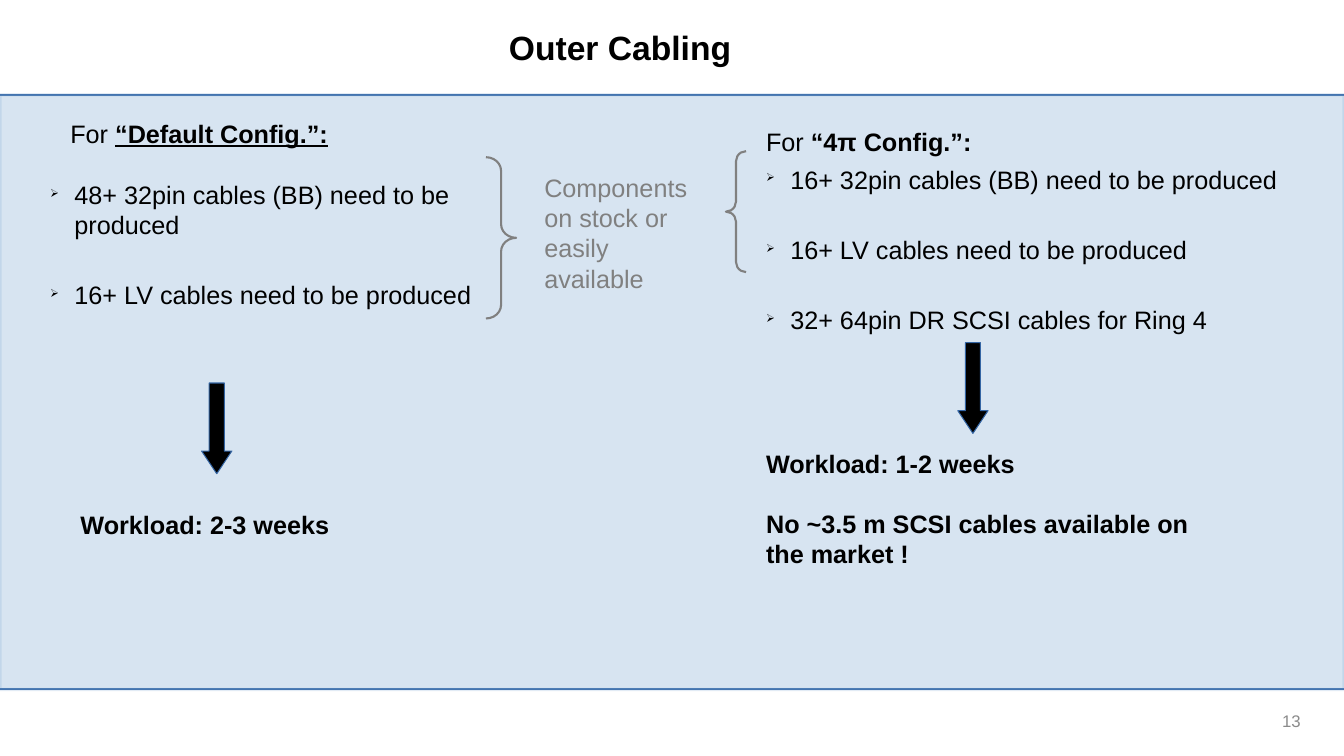
from dataclasses import dataclass

import pptx
import pptx.dml.color
import pptx.enum.shapes
import pptx.enum.text
import pptx.oxml
import pptx.oxml.ns
import pptx.util
from lxml import etree

Inches = pptx.util.Inches
Pt = pptx.util.Pt
ShapeKind = pptx.enum.shapes.MSO_SHAPE
Align = pptx.enum.text.PP_ALIGN
Anchor = pptx.enum.text.MSO_ANCHOR
AutoSize = pptx.enum.text.MSO_AUTO_SIZE
qn = pptx.oxml.ns.qn

FONT = "Arial"
COLORS = {
    "text": "000000",
    "rule": "3465A4",
    "panel": "729FCF",
    "note": "808080",
    "number": "8B8B8B",
}


@dataclass
class Box:
    left: float
    top: float
    width: float
    height: float

    def lengths(self) -> tuple:
        return tuple(Inches(n) for n in (self.left, self.top, self.width, self.height))


@dataclass
class Heading:
    box: Box
    name: str
    underline: bool


@dataclass
class TextBlock:
    box: Box
    paragraphs: list[str]
    color: str = "text"
    size: float = 18
    bold: bool = False
    bulleted: bool = False
    gap: float = 0
    align: Align = Align.LEFT
    anchor: Anchor = Anchor.TOP


@dataclass
class Brace:
    box: Box
    kind: ShapeKind
    curve: float


HEADINGS = [
    Heading(Box(0.6, 1.12, 5.3, 0.38), "“Default Config.”:", True),
    Heading(Box(7.5, 1.2, 5.3, 0.38), "“4π Config.”:", False),
]
TEXT_BLOCKS = [
    TextBlock(Box(0.4, 1.73, 4.7, 1.33),
              ["48+ 32pin cables (BB) need to be produced",
               "16+ LV cables need to be produced"], bulleted=True, gap=28.4),
    TextBlock(Box(7.5, 1.58, 5.8, 1.73),
              ["16+ 32pin cables (BB) need to be produced",
               "16+ LV cables need to be produced",
               "32+ 64pin DR SCSI cables for Ring 4"], bulleted=True, gap=28.4),
    TextBlock(Box(0.7, 5, 3.8, 0.38), ["Workload: 2-3 weeks"], bold=True),
    TextBlock(Box(7.5, 4.4, 4.6, 1.22),
              ["Workload: 1-2 weeks",
               "No ~3.5 m SCSI cables available on the market !"], bold=True, gap=21),
    TextBlock(Box(5.3, 1.66, 1.8, 1.22),
              ["Components on stock or easily available"], color="note"),
    TextBlock(Box(10, 6.95, 3, 0.4), ["13"], color="number", size=12,
              align=Align.RIGHT, anchor=Anchor.MIDDLE),
]
ARROWS = [Box(2, 3.8, 0.3, 0.9), Box(9.5, 3.4, 0.3, 0.9)]
BRACES = [
    Brace(Box(4.82, 1.56, 0.3, 1.6), ShapeKind.RIGHT_BRACE, 0.45),
    Brace(Box(7.2, 1.5, 0.2, 1.2), ShapeKind.LEFT_BRACE, 0.5),
]


def rgb(name: str) -> pptx.dml.color.RGBColor:
    return pptx.dml.color.RGBColor.from_string(COLORS[name])


def set_line(shape, color: str, width: float) -> None:
    shape.line.color.rgb = rgb(color)
    shape.line.width = Pt(width)


def set_opacity(properties, percent: int) -> None:
    color = properties.find(qn("a:solidFill")).find(qn("a:srgbClr"))
    etree.SubElement(color, qn("a:alpha"), val=str(percent * 1000))


def set_font(paragraph, size: float, color: str, bold: bool | None = None) -> None:
    font = paragraph.font
    font.name = FONT
    font.size = Pt(size)
    font.bold = bold
    font.color.rgb = rgb(color)


def add_bullet(paragraph) -> None:
    properties = paragraph._p.get_or_add_pPr()
    properties.set("marL", str(Inches(0.24)))
    properties.set("indent", str(-Inches(0.24)))
    bullet_color = etree.SubElement(properties, qn("a:buClr"))
    etree.SubElement(bullet_color, qn("a:srgbClr"), val=COLORS["text"])
    etree.SubElement(properties, qn("a:buSzPct"), val="45000")
    etree.SubElement(properties, qn("a:buChar"), char="➢")


def add_text_frame(slide, box: Box):
    frame = slide.shapes.add_textbox(*box.lengths()).text_frame
    frame.word_wrap = True
    return frame


def add_heading(slide, heading: Heading) -> None:
    frame = add_text_frame(slide, heading.box)
    frame.auto_size = AutoSize.SHAPE_TO_FIT_TEXT
    paragraph = frame.paragraphs[0]
    set_font(paragraph, 18, "text")
    paragraph.add_run().text = "For "
    name = paragraph.add_run()
    name.text = heading.name
    name.font.bold = True
    name.font.underline = heading.underline


def add_text_block(slide, block: TextBlock) -> None:
    frame = add_text_frame(slide, block.box)
    frame.vertical_anchor = block.anchor
    if block.anchor == Anchor.TOP:
        frame.auto_size = AutoSize.SHAPE_TO_FIT_TEXT
    for index, text in enumerate(block.paragraphs):
        paragraph = frame.add_paragraph() if index else frame.paragraphs[0]
        paragraph.text = text
        paragraph.alignment = block.align
        if index:
            paragraph.space_before = Pt(block.gap)
        if block.bulleted:
            add_bullet(paragraph)
        set_font(paragraph, block.size, block.color, block.bold)


def add_rule(slide, top: float) -> None:
    rule = slide.shapes.add_connector(
        pptx.enum.shapes.MSO_CONNECTOR.STRAIGHT,
        Inches(0), Inches(top), Inches(13.33), Inches(top))
    set_line(rule, "rule", 1.5)
    etree.SubElement(rule._element.spPr, qn("a:effectLst"))


def add_panel(slide) -> None:
    panel = slide.shapes.add_shape(
        ShapeKind.RECTANGLE, *Box(0, 0.94, 13.33, 5.9).lengths())
    panel.shadow.inherit = False
    panel.fill.solid()
    panel.fill.fore_color.rgb = rgb("panel")
    set_line(panel, "panel", 2.3)
    set_opacity(panel._element.spPr, 28)
    set_opacity(panel._element.spPr.find(qn("a:ln")), 20)


def add_arrow(slide, box: Box) -> None:
    arrow = slide.shapes.add_shape(ShapeKind.DOWN_ARROW, *box.lengths())
    arrow.shadow.inherit = False
    arrow.adjustments[0] = 0.5
    arrow.adjustments[1] = 0.75
    arrow.fill.solid()
    arrow.fill.fore_color.rgb = rgb("text")
    set_line(arrow, "rule", 0)


def add_brace(slide, brace: Brace) -> None:
    shape = slide.shapes.add_shape(brace.kind, *brace.box.lengths())
    shape.shadow.inherit = False
    shape.adjustments[0] = brace.curve
    shape.fill.background()
    set_line(shape, "note", 1.5)


def format_title(slide) -> None:
    title = slide.shapes.title
    title.left, title.top, title.width, title.height = Box(2.1, 0.23, 8.1, 0.47).lengths()
    title.text_frame.text = "Outer Cabling"
    title.text_frame.vertical_anchor = Anchor.MIDDLE
    paragraph = title.text_frame.paragraphs[0]
    paragraph.alignment = Align.CENTER
    set_font(paragraph, 24, "text", True)


def main() -> None:
    presentation = pptx.Presentation()
    presentation.slide_width = Inches(13.33)
    presentation.slide_height = Inches(7.5)
    slide = presentation.slides.add_slide(presentation.slide_layouts[5])
    for top in (6.84, 0.94):
        add_rule(slide, top)
    add_panel(slide)
    format_title(slide)
    for heading in HEADINGS:
        add_heading(slide, heading)
    for block in TEXT_BLOCKS:
        add_text_block(slide, block)
    for box in ARROWS:
        add_arrow(slide, box)
    for brace in BRACES:
        add_brace(slide, brace)
    presentation.save("out.pptx")


if __name__ == "__main__":
    main()
